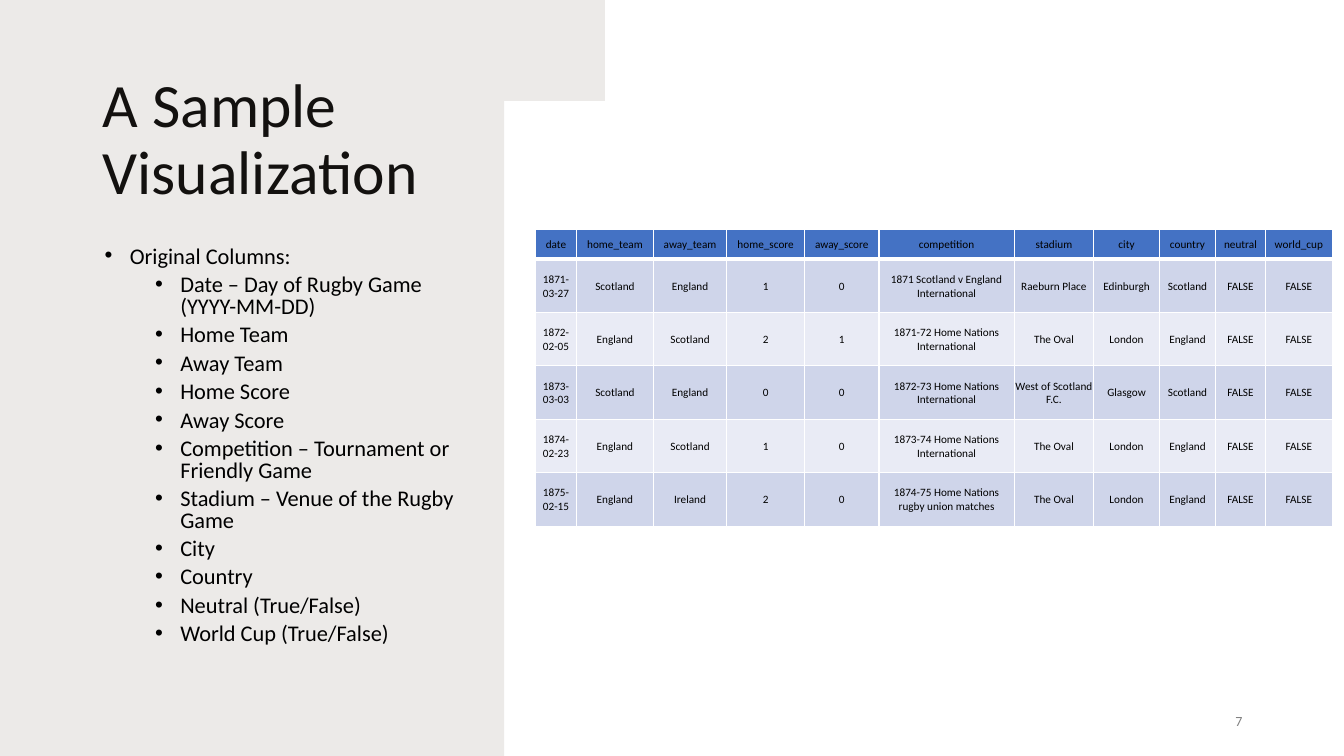
from dataclasses import dataclass

from lxml import etree
from pptx import Presentation
from pptx.dml.color import RGBColor
from pptx.enum.text import MSO_ANCHOR as Anchor, MSO_AUTO_SIZE as AutoSize, PP_ALIGN as Align
from pptx.oxml.ns import qn
from pptx.util import Inches, Pt


@dataclass(frozen=True)
class Theme:
    """Colours, font and type sizes of the slide."""
    font: str = "Calibri"
    ink: str = "000000"
    muted: str = "808080"
    paper: str = "82766A"
    paper_opacity: int = 15
    header: str = "4472C4"
    bands: tuple = ("CFD5EA", "E9EBF5")
    rule: str = "FFFFFF"
    title_size: int = 44
    body_size: int = 16
    number_size: int = 10
    table_size: int = 8


THEME = Theme()

TORN_EDGE = [
    (5.65, 0), (5.63, 0.02), (5.62, 0.14), (5.62, 0.39), (5.6, 0.52), (5.62, 0.58),
    (5.61, 0.64), (5.6, 0.66), (5.55, 0.75), (5.55, 0.79), (5.52, 0.82), (5.49, 0.89),
    (5.47, 0.97), (5.41, 1.07), (5.38, 1.16), (5.38, 1.27), (5.36, 1.32), (5.36, 1.42),
    (5.33, 1.49), (5.32, 1.54), (5.3, 1.56), (5.28, 1.66), (5.29, 1.73), (5.28, 1.8),
    (5.26, 1.88), (5.26, 1.99), (5.24, 2.04), (5.26, 2.08), (5.25, 2.14), (5.2, 2.21),
    (5.19, 2.31), (5.18, 2.4), (5.18, 2.47), (5.13, 2.55), (5.09, 2.63), (5.08, 2.73),
    (5.07, 2.84), (5.04, 2.97), (5.05, 3.05), (5.06, 3.18), (5.05, 3.27), (5.09, 3.35),
    (5.07, 3.39), (5.07, 3.48), (5.09, 3.56), (5.08, 3.59), (5.13, 3.73), (5.14, 3.86),
    (5.16, 3.9), (5.16, 3.98), (5.17, 4.05), (5.19, 4.13), (5.21, 4.24), (5.2, 4.43),
    (5.17, 4.53), (5.16, 4.61), (5.17, 4.82), (5.16, 4.96), (5.14, 5.06), (5.13, 5.18),
    (5.11, 5.3), (5.08, 5.39), (5.04, 5.48), (5.03, 5.59), (5.05, 5.7), (5.07, 5.98),
    (5.07, 6.12), (5.05, 6.2), (5.04, 6.46), (5.06, 6.53), (5.06, 6.81), (5.09, 6.97),
    (5.11, 7.15), (5.13, 7.33), (5.14, 7.46), (5.16, 7.5), (6.18, 7.5),
]

COLUMNS = [
    "Date – Day of Rugby Game (YYYY-MM-DD)", "Home Team", "Away Team", "Home Score",
    "Away Score", "Competition – Tournament or Friendly Game",
    "Stadium – Venue of the Rugby Game", "City", "Country", "Neutral (True/False)",
    "World Cup (True/False)",
]

COLUMN_WIDTHS = [0.41, 0.76, 0.73, 0.77, 0.74, 1.34, 0.79, 0.65, 0.56, 0.49, 0.67]
HEADER_HEIGHT, ROW_HEIGHT = 0.29, 0.53
MATCHES = [
    ["date", "home_team", "away_team", "home_score", "away_score", "competition",
     "stadium", "city", "country", "neutral", "world_cup"],
    ["1871-03-27", "Scotland", "England", "1", "0", "1871 Scotland v England International",
     "Raeburn Place", "Edinburgh", "Scotland", "FALSE", "FALSE"],
    ["1872-02-05", "England", "Scotland", "2", "1", "1871-72 Home Nations International",
     "The Oval", "London", "England", "FALSE", "FALSE"],
    ["1873-03-03", "Scotland", "England", "0", "0", "1872-73 Home Nations International",
     "West of Scotland F.C.", "Glasgow", "Scotland", "FALSE", "FALSE"],
    ["1874-02-23", "England", "Scotland", "1", "0", "1873-74 Home Nations International",
     "The Oval", "London", "England", "FALSE", "FALSE"],
    ["1875-02-15", "England", "Ireland", "2", "0", "1874-75 Home Nations rugby union matches",
     "The Oval", "London", "England", "FALSE", "FALSE"],
]


def set_all(target, values):
    """Set each named attribute on the target."""
    for name, value in values.items():
        setattr(target, name, value)


def write(para, text, size, color=THEME.ink, **layout):
    """Fill a paragraph with one formatted span."""
    set_all(para, layout)
    span = para.add_run()
    span.text = text
    set_all(span.font, {"name": THEME.font, "size": Pt(size)})
    span.font.color.rgb = RGBColor.from_string(color)


def add_box(page, left, top, width, height, anchor=Anchor.TOP):
    """Add a wrapping text box and return its text frame."""
    box = page.shapes.add_textbox(*map(Inches, (left, top, width, height)))
    set_all(box.text_frame, {"word_wrap": True, "vertical_anchor": anchor})
    return box.text_frame


def add_torn_paper(page):
    """Draw the translucent panel with the torn right edge."""
    builder = page.shapes.build_freeform(0, 0, scale=Inches(1))
    builder.add_line_segments(TORN_EDGE + [(0, 7.5)], close=True)
    paper = builder.convert_to_shape()
    paper.shadow.inherit = False
    paper.line.fill.background()
    paper.fill.solid()
    paper.fill.fore_color.rgb = RGBColor.from_string(THEME.paper)
    color = paper.fill._xPr.find(qn("a:solidFill"))[0]
    etree.SubElement(color, qn("a:alpha"), val=str(THEME.paper_opacity * 1000))


def add_title(page, text):
    """Place and format the title placeholder."""
    title = page.shapes.title
    set_all(title, {"left": Inches(0.92), "top": Inches(0.67),
                    "width": Inches(4.09), "height": Inches(1.46)})
    set_all(title.text_frame, {"word_wrap": True, "auto_size": AutoSize.NONE,
                               "vertical_anchor": Anchor.MIDDLE})
    write(title.text_frame.paragraphs[0], text, THEME.title_size,
          alignment=Align.LEFT, line_spacing=0.9)


def add_bullet(para, text, level):
    """Write one bulleted line at the given level."""
    props = para._p.get_or_add_pPr()
    props.set("marL", str(Inches(0.25 + 0.5 * level)))
    props.set("indent", str(Inches(-0.25)))
    etree.SubElement(props, qn("a:buFont"), typeface="Arial")
    etree.SubElement(props, qn("a:buChar"), char="•")
    write(para, text, THEME.body_size, level=level, line_spacing=0.8,
          space_before=Pt(5 * level))


def add_column_list(page):
    """List the columns under their heading."""
    frame = add_box(page, 0.94, 2.4, 3.75, 4.27)
    add_bullet(frame.paragraphs[0], "Original Columns:", 0)
    for column in COLUMNS:
        add_bullet(frame.add_paragraph(), column, 1)


def set_borders(cell, row):
    """Rule the cell, with a thick line under the header row."""
    weights = {"L": 1, "R": 1, "T": 3 if row == 1 else 1, "B": 3 if row == 0 else 1}
    for side, weight in weights.items():
        line = etree.SubElement(cell._tc.get_or_add_tcPr(), qn(f"a:ln{side}"),
                                w=str(Pt(weight)))
        fill = etree.SubElement(line, qn("a:solidFill"))
        etree.SubElement(fill, qn("a:srgbClr"), val=THEME.rule)


def format_cell(cell, text, row):
    """Write, rule and fill one table cell."""
    set_borders(cell, row)
    cell.fill.solid()
    color = THEME.bands[(row - 1) % 2] if row else THEME.header
    cell.fill.fore_color.rgb = RGBColor.from_string(color)
    inset = Inches(0.01)
    set_all(cell, {"margin_left": inset, "margin_right": inset, "margin_top": inset,
                   "margin_bottom": 0, "vertical_anchor": Anchor.MIDDLE})
    write(cell.text_frame.paragraphs[0], text, THEME.table_size, alignment=Align.CENTER)


def add_match_table(page):
    """Add the table of sample matches."""
    heights = [HEADER_HEIGHT] + [ROW_HEIGHT] * (len(MATCHES) - 1)
    table = page.shapes.add_table(
        len(MATCHES), len(COLUMN_WIDTHS), Inches(5.31), Inches(2.28),
        Inches(sum(COLUMN_WIDTHS)), Inches(sum(heights))).table
    for column, width in zip(table.columns, COLUMN_WIDTHS):
        column.width = Inches(width)
    for row, (match, height) in enumerate(zip(MATCHES, heights)):
        table.rows[row].height = Inches(height)
        for cell, text in zip(table.rows[row].cells, match):
            format_cell(cell, text, row)


def add_page_number(page, number):
    """Write the page number at the lower right."""
    frame = add_box(page, 9.42, 6.95, 3, 0.4, Anchor.MIDDLE)
    write(frame.paragraphs[0], number, THEME.number_size, THEME.muted,
          alignment=Align.RIGHT, space_after=Pt(6))


def main():
    """Build the slide and save it."""
    deck = Presentation()
    set_all(deck, {"slide_width": Inches(13.33), "slide_height": Inches(7.5)})
    page = deck.slides.add_slide(deck.slide_layouts[5])
    add_torn_paper(page)
    add_title(page, "A Sample Visualization")
    add_column_list(page)
    add_page_number(page, "7")
    add_match_table(page)
    deck.save("out.pptx")


if __name__ == "__main__":
    main()
